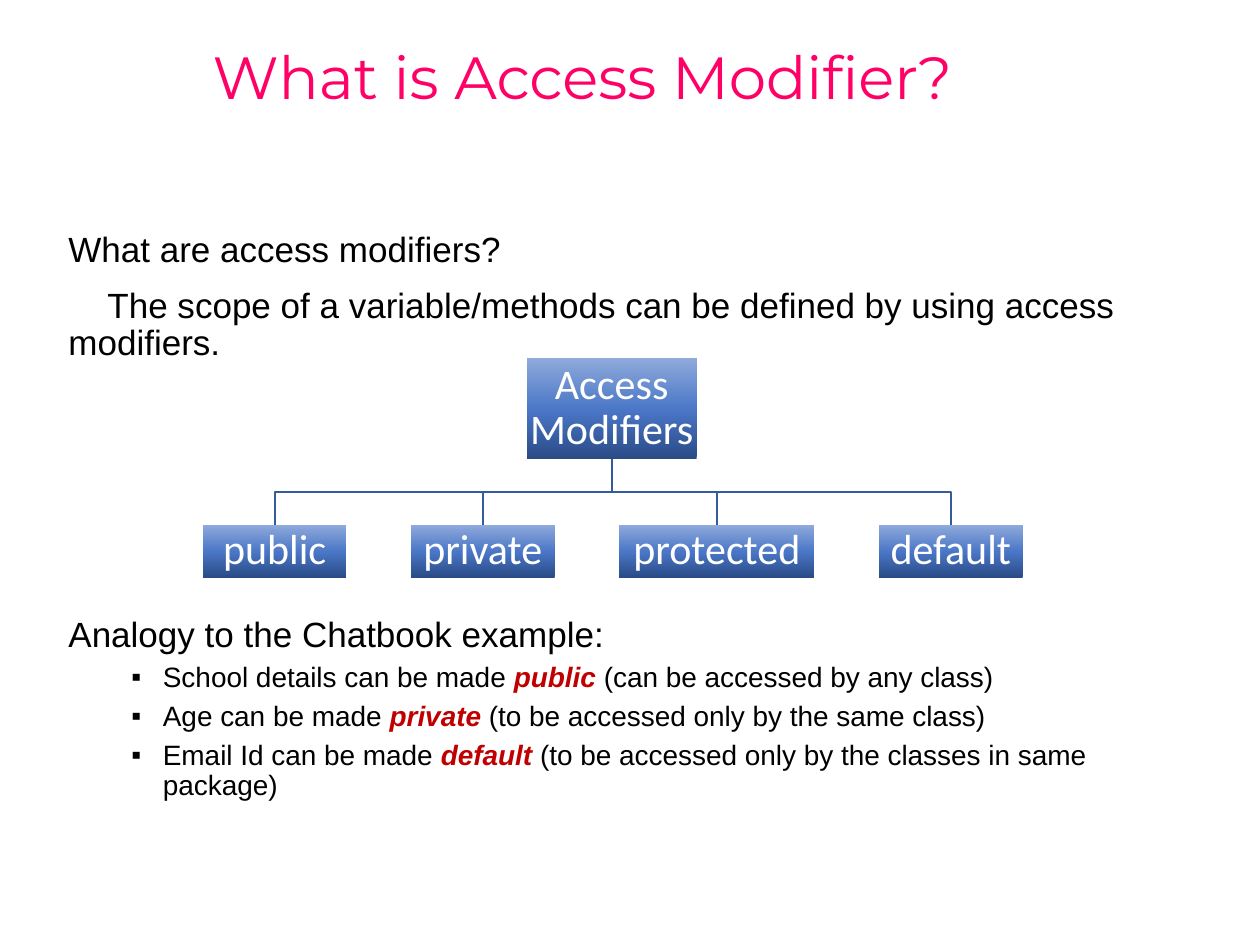
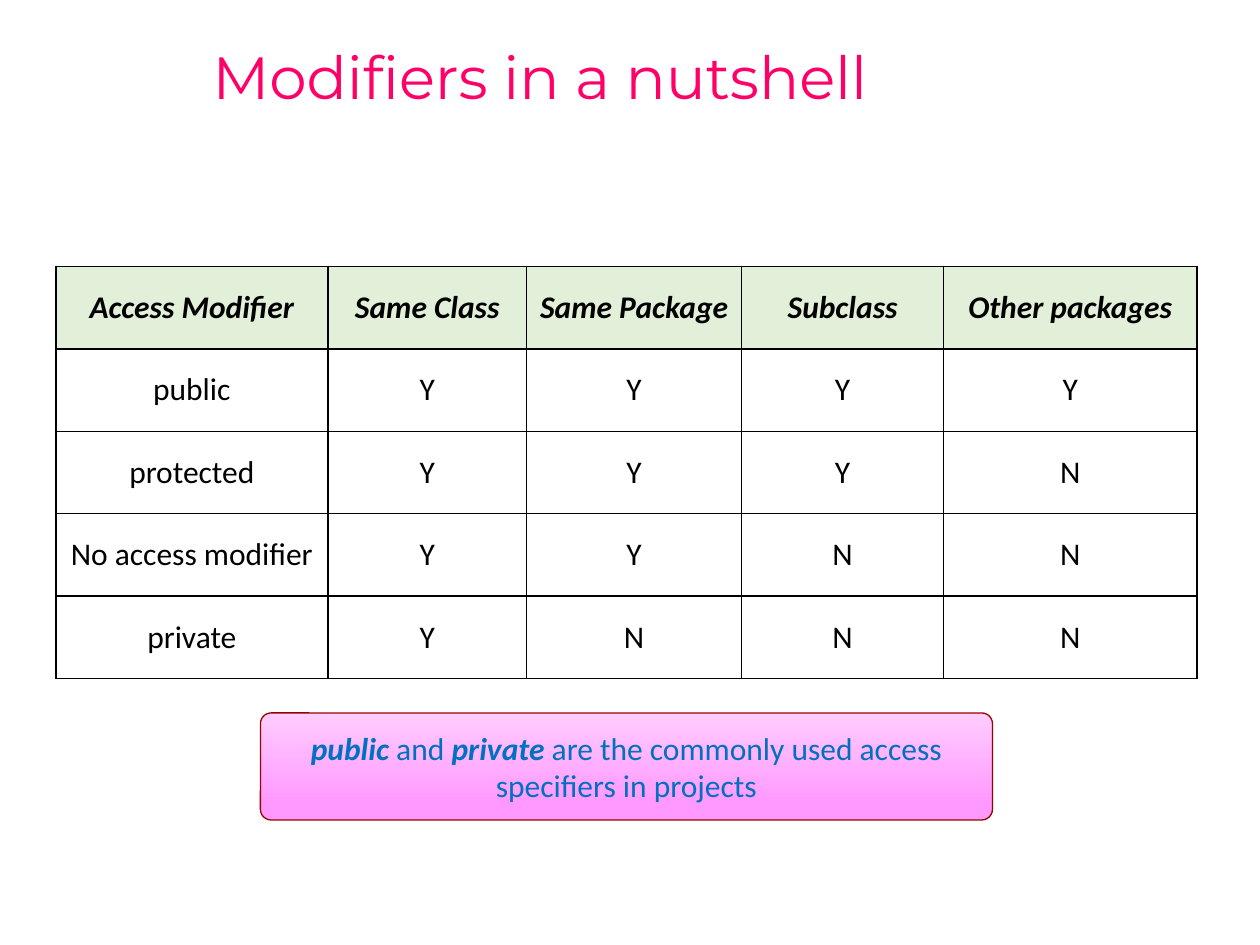
from dataclasses import dataclass

from lxml import etree
from pptx import Presentation
from pptx.dml.color import RGBColor
from pptx.enum.shapes import MSO_SHAPE
from pptx.enum.text import MSO_ANCHOR, PP_ALIGN
from pptx.oxml.ns import qn
from pptx.util import Inches, Pt

RECTANGLE, ROUNDED = MSO_SHAPE.RECTANGLE, MSO_SHAPE.ROUNDED_RECTANGLE
MIDDLE, TOP = MSO_ANCHOR.MIDDLE, MSO_ANCHOR.TOP
LEFT, CENTER = PP_ALIGN.LEFT, PP_ALIGN.CENTER


@dataclass(frozen=True)
class Theme:
    title_font: str = "Montserrat"
    body_font: str = "Arial"
    diagram_font: str = "Calibri"
    title_size: int = 34
    diagram_size: int = 24
    body_size: int = 20
    table_size: int = 18
    bullet_size: int = 16
    pink: str = "FF0066"
    black: str = "000000"
    white: str = "FFFFFF"
    red: str = "C00000"
    blue: str = "0070C0"
    header_green: str = "E2F0D9"
    tree_line: str = "365B9D"
    note_line: str = "990000"
    tree_gradient: tuple = ((0, "2A4B86"), (48, "4A76C6"), (100, "8FAADC"))
    note_gradient: tuple = ((15, "FF99FF"), (100, "FFCCFF"))


theme = Theme()
deck = Presentation()
deck.slide_width, deck.slide_height = Inches(10), Inches(7.5)


def area(*shares):
    """Turn x, y, x, y ... percentages of the slide into lengths."""
    sides = (deck.slide_width, deck.slide_height)
    return [round(sides[i % 2] * share / 100) for i, share in enumerate(shares)]


def write(para, runs, font, size, color, accent=None, align=LEFT):
    """Add (text, emphasised) runs; emphasis is bold italic in the accent."""
    para.alignment = align
    for text, emphasised in runs:
        span = para.add_run()
        span.text = text
        span.font.name, span.font.size = font, Pt(size)
        span.font.bold = span.font.italic = emphasised
        shade = accent if emphasised and accent else color
        span.font.color.rgb = RGBColor.from_string(shade)


# Pages with their titles
pages = []
for heading in ("What is Access Modifier?", "Modifiers in a nutshell"):
    page = deck.slides.add_slide(deck.slide_layouts[5])
    title = page.shapes.title
    title.left, title.top, title.width, title.height = area(15.88, 0.2, 84.1, 16.53)
    title.text_frame.vertical_anchor = MIDDLE
    para = title.text_frame.paragraphs[0]
    para.line_spacing = 0.9
    write(para, [(heading, False)], theme.title_font, theme.title_size, theme.pink)
    pages.append(page)
tree_page, table_page = pages
gradient_boxes = []

# Explanation around the tree
body = tree_page.shapes.add_textbox(*area(4.45, 23.95, 90.6, 64)).text_frame
body.word_wrap = True
body.vertical_anchor = TOP
statements = [
    ("What are access modifiers?", 10, 0),
    ("The scope of a variable/methods can be defined by using access modifiers.", 10, 0.31),
    ("Analogy to the Chatbook example:", 145, 0),
]
for number, (text, gap, indent) in enumerate(statements):
    para = body.add_paragraph() if number else body.paragraphs[0]
    para.line_spacing, para.space_before = 0.9, Pt(gap)
    para._p.get_or_add_pPr().set("indent", str(Inches(indent)))
    write(para, [(text, False)], theme.body_font, theme.body_size, theme.black)

examples = [
    ("School details can be made ", "public", " (can be accessed by any class)"),
    ("Age can be made ", "private", " (to be accessed only by the same class)"),
    ("Email Id can be made ", "default",
     " (to be accessed only by the classes in same package)"),
]
for before, keyword, after in examples:
    para = body.add_paragraph()
    para.level = 1
    para.line_spacing, para.space_before = 0.9, Pt(5)
    properties = para._p.get_or_add_pPr()
    properties.set("marL", str(Inches(0.75)))
    properties.set("indent", str(Inches(-0.25)))
    etree.SubElement(properties, qn("a:buFont"), typeface=theme.body_font)
    etree.SubElement(properties, qn("a:buChar"), char="▪")
    write(para, [(before, False), (keyword, True), (after, False)],
          theme.body_font, theme.bullet_size, theme.black, theme.red)

# Tree boxes: the root, then a row of children with equal gaps
root_top, root_height, child_top, child_height = 37.87, 10.67, 55.52, 5.6
child_gap = 5.12
nodes = [("Access Modifiers", 41.8, root_top, 13.5, root_height)]
left = 16.1
for name, width in (("public", 11.4), ("private", 11.4),
                    ("protected", 15.5), ("default", 11.4)):
    nodes.append((name, left, child_top, width, child_height))
    left += width + child_gap

tree_boxes = []
for name, *place in nodes:
    box = tree_page.shapes.add_shape(RECTANGLE, *area(*place))
    box.line.fill.background()
    frame = box.text_frame
    frame.word_wrap, frame.vertical_anchor = True, MIDDLE
    frame.margin_left = frame.margin_right = Inches(0.02)
    frame.margin_top = frame.margin_bottom = Inches(0.02)
    frame.paragraphs[0].line_spacing = 0.9
    write(frame.paragraphs[0], [(name, False)], theme.diagram_font,
          theme.diagram_size, theme.white, align=CENTER)
    tree_boxes.append(box)
    gradient_boxes.append((box, theme.tree_gradient))

# Tree branches: one stepped outline from the root to each child
root, *children = tree_boxes
root_center, root_bottom = root.left + root.width // 2, root.top + root.height
for child in children:
    center = child.left + child.width // 2
    bend = (root_bottom + child.top) // 2
    outline = tree_page.shapes.build_freeform(root_center, root_bottom)
    outline.add_line_segments(
        [(root_center, bend), (center, bend), (center, child.top)], close=False)
    branch = outline.convert_to_shape()
    branch.shadow.inherit = False
    branch.fill.background()
    branch.line.color.rgb = RGBColor.from_string(theme.tree_line)
    branch.line.width = Pt(1)

# Table of visibility
rows = [
    ("Access Modifier", "Same Class", "Same Package", "Subclass", "Other packages"),
    ("public", "Y", "Y", "Y", "Y"),
    ("protected", "Y", "Y", "Y", "N"),
    ("No access modifier", "Y", "Y", "N", "N"),
    ("private", "Y", "N", "N", "N"),
]
table = table_page.shapes.add_table(
    len(rows), len(rows[0]), *area(4.43, 28.2, 90.6, 43.6)).table
table.first_row = table.horz_banding = False
for column, share in zip(table.columns, (21.6, 15.77, 17.07, 16.03, 20.1)):
    column.width = area(share)[0]
for row_number, row in enumerate(rows):
    is_header = row_number == 0
    for column_number, text in enumerate(row):
        cell = table.cell(row_number, column_number)
        cell.vertical_anchor = MIDDLE
        write(cell.text_frame.paragraphs[0], [(text, is_header)],
              theme.diagram_font, theme.table_size, theme.black, align=CENTER)
        properties = cell._tc.get_or_add_tcPr()
        for side in ("lnL", "lnR", "lnT", "lnB"):
            border = etree.SubElement(properties, qn(f"a:{side}"), w=str(Pt(1)))
            paint = etree.SubElement(border, qn("a:solidFill"))
            etree.SubElement(paint, qn("a:srgbClr"), val=theme.black)
        if is_header:
            cell.fill.solid()
            cell.fill.fore_color.rgb = RGBColor.from_string(theme.header_green)
        else:
            cell.fill.background()

# Note under the table
note = table_page.shapes.add_shape(ROUNDED, *area(20.67, 75.45, 58.1, 11.33))
note.adjustments[0] = 0.1
note.line.color.rgb = RGBColor.from_string(theme.note_line)
note.line.width = Pt(0.75)
note.text_frame.word_wrap, note.text_frame.vertical_anchor = True, MIDDLE
write(note.text_frame.paragraphs[0],
      [("public", True), (" and ", False), ("private", True),
       (" are the commonly used access specifiers in projects", False)],
      theme.diagram_font, theme.table_size, theme.blue, align=CENTER)
gradient_boxes.append((note, theme.note_gradient))

# Gradients, running from the bottom edge up
for box, stops in gradient_boxes:
    box.shadow.inherit = False
    box.fill.gradient()
    box.fill.gradient_angle = 90
    stop_list = box._element.spPr.find(qn("a:gradFill")).find(qn("a:gsLst"))
    for stop in list(stop_list):
        stop_list.remove(stop)
    for percent, color in stops:
        stop = etree.SubElement(stop_list, qn("a:gs"), pos=str(percent * 1000))
        etree.SubElement(stop, qn("a:srgbClr"), val=color)

deck.save("out.pptx")
